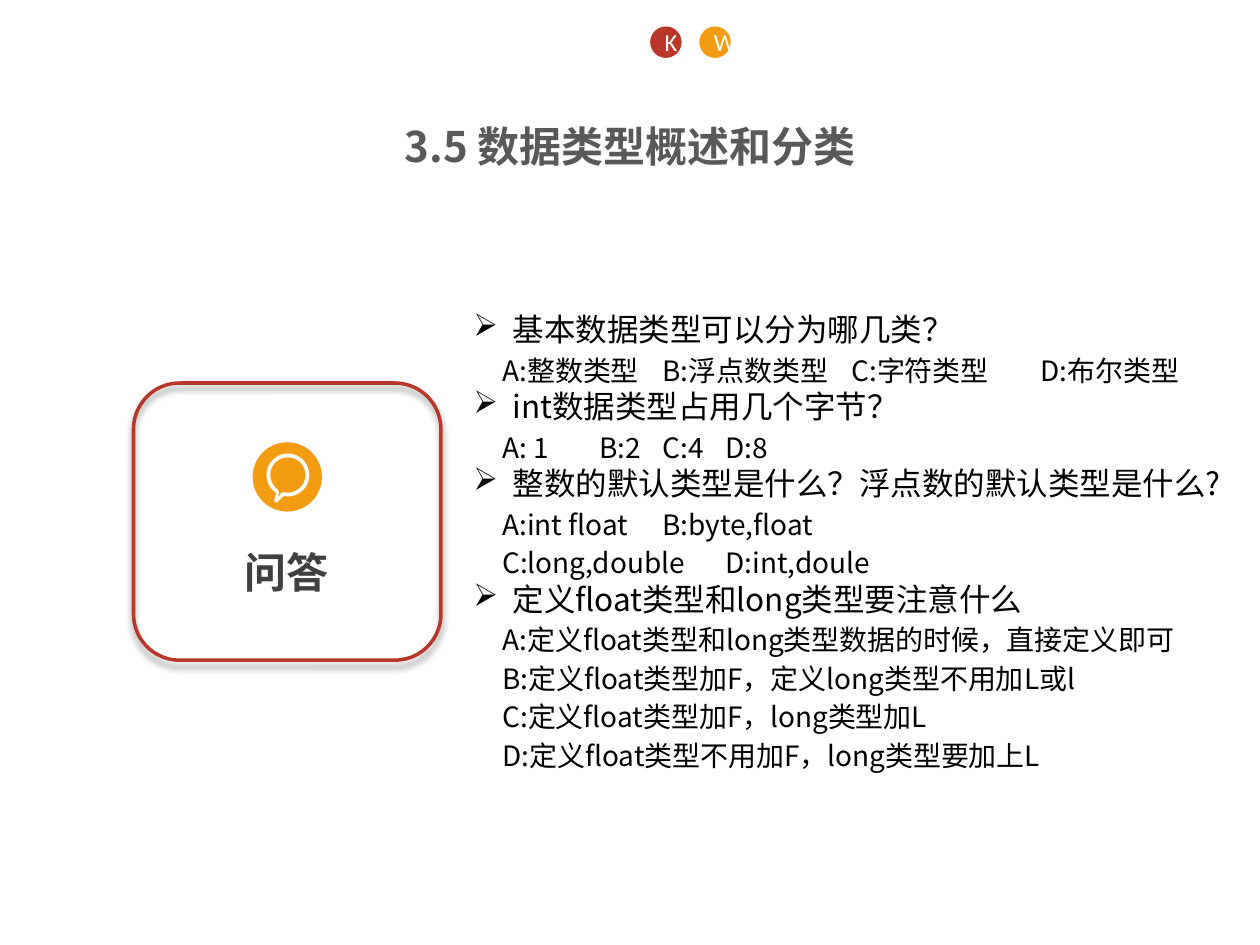
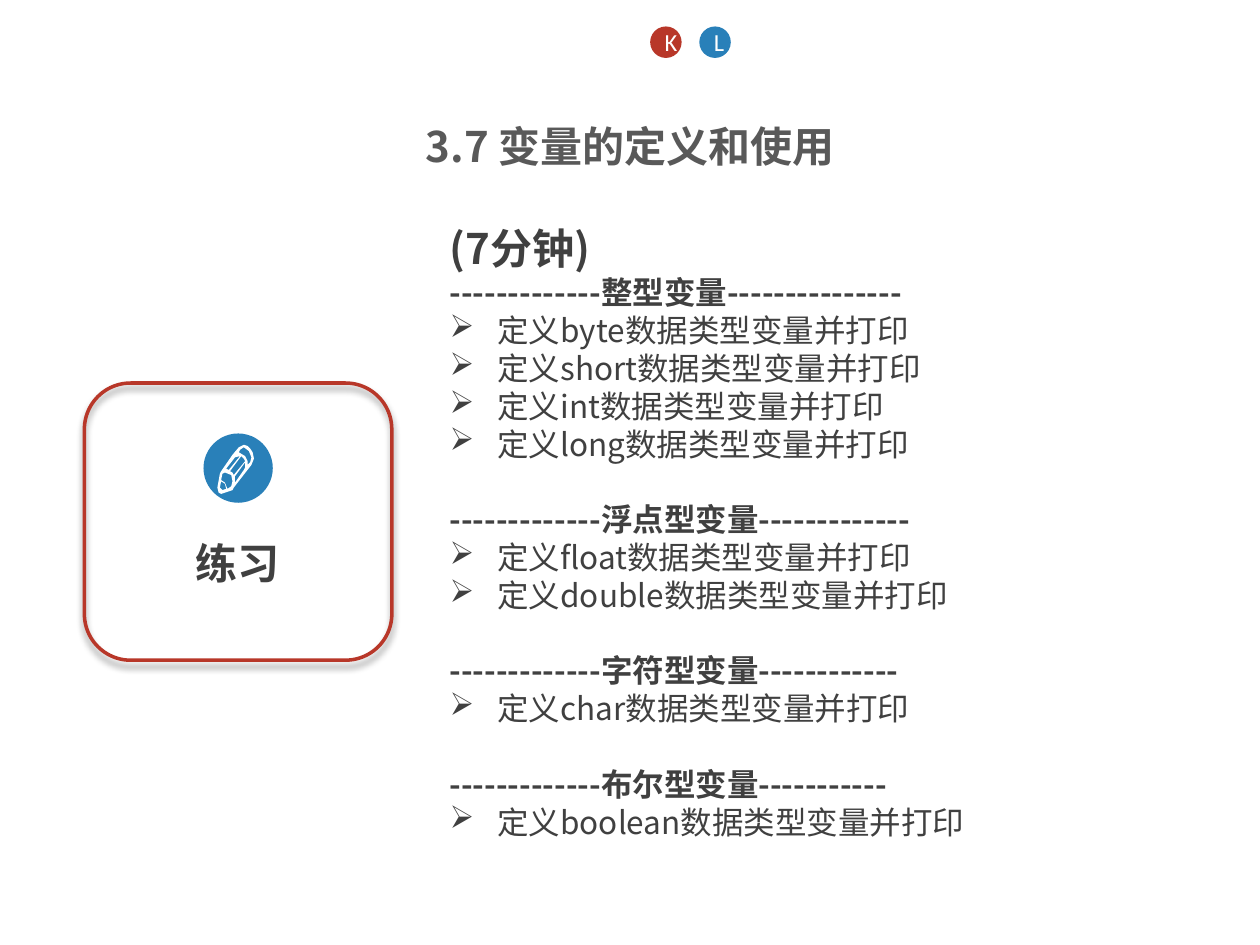
import math
from lxml import etree
from pptx import Presentation
from pptx.dml.color import RGBColor
from pptx.enum import shapes, text
from pptx.oxml import ns
from pptx.util import Inches, Pt

RED, ORANGE, BLUE = "B83729", "F39C12", "2980B9"
WHITE, BLACK, DARK, GREY = "FFFFFF", "000000", "404040", "595959"
CJK, LATIN = "Noto Sans CJK SC", "Calibri"
CARD_W, CARD_H, DISC, DOT = 2.44, 2.2, 0.55, 0.25


def rgb(value):
    """Turn a hex string into a colour."""
    return RGBColor.from_string(value)


def child(parent, tag, **attrs):
    """Append a drawing element to parent."""
    return etree.SubElement(parent, ns.qn(tag), {k: str(v) for k, v in attrs.items()})


def style(p, size, color, bold=False, font=CJK):
    """Format every run of a paragraph."""
    for r in p.runs:
        r.font.size, r.font.bold, r.font.name = Pt(size), bold, font
        r.font.color.rgb = rgb(color)
        child(r._r.get_or_add_rPr(), "a:ea", typeface=font)


def indent(p, left, first):
    """Set the left margin and first-line indent in inches."""
    pPr = p._p.get_or_add_pPr()
    pPr.set("marL", str(Inches(left)))
    pPr.set("indent", str(Inches(first)))
    return pPr


def bullet(p, hang):
    """Give a paragraph an arrow bullet with a hanging indent."""
    child(indent(p, hang, -hang), "a:buChar", char="➢")


def tab_stops(p, first, stops):
    """Indent the first line and set left tab stops."""
    tabs = child(indent(p, 0, first), "a:tabLst")
    for stop in stops:
        child(tabs, "a:tab", pos=Inches(stop), algn="l")


def text_box(parent, x, y, w, h):
    """Add a text box and return its frame."""
    tf = parent.shapes.add_textbox(Inches(x), Inches(y), Inches(w), Inches(h)).text_frame
    tf.word_wrap = True
    return tf


def add_lines(tf, lines):
    """Yield a paragraph for each line, with the line's other fields."""
    for i, (line, *rest) in enumerate(lines):
        p = tf.add_paragraph() if i else tf.paragraphs[0]
        p.text = line
        yield p, rest


def disc(parent, x, y, size, color):
    """Add a filled circle without outline."""
    sp = parent.shapes.add_shape(shapes.MSO_SHAPE.OVAL, Inches(x), Inches(y),
                                 Inches(size), Inches(size))
    sp.shadow.inherit = False
    sp.fill.solid()
    sp.fill.fore_color.rgb = rgb(color)
    sp.line.fill.background()
    return sp


def letter_dot(s, x, letter, color):
    """Add a lettered dot at the top of the slide."""
    tf = disc(s, x, 0.21, DOT, color).text_frame
    tf.text = letter
    tf.word_wrap = True
    tf.vertical_anchor = text.MSO_ANCHOR.MIDDLE
    tf.paragraphs[0].alignment = text.PP_ALIGN.CENTER
    style(tf.paragraphs[0], 14, WHITE, font=LATIN)


def arc(radius, start, end):
    """Points along a circle about the bubble's centre, in degrees."""
    steps = 36
    angles = [math.radians(start + (end - start) * i / steps) for i in range(steps + 1)]
    return [(0.28 + radius * math.cos(a), 0.26 + radius * math.sin(a)) for a in angles]


# Icon contours in inches from the disc's corner: the outline, then its holes.
BUBBLE = [
    arc(0.17, 123, 461) + [(0.19, 0.48), (0.17, 0.47)],
    arc(0.14, 126, 462) + [(0.23, 0.4), (0.2, 0.44), (0.21, 0.4)],
]
PENCIL = [
    [(0.37, 0.12), (0.35, 0.1), (0.32, 0.09), (0.28, 0.11), (0.23, 0.17), (0.14, 0.3),
     (0.13, 0.32), (0.11, 0.43), (0.12, 0.47), (0.14, 0.48), (0.23, 0.45), (0.24, 0.43),
     (0.38, 0.25), (0.4, 0.2), (0.39, 0.15)],
    [(0.37, 0.23), (0.35, 0.25), (0.35, 0.22), (0.33, 0.18), (0.28, 0.15), (0.29, 0.13),
     (0.32, 0.11), (0.36, 0.14), (0.38, 0.19)],
    [(0.19, 0.44), (0.17, 0.39), (0.14, 0.37), (0.15, 0.32), (0.17, 0.31), (0.22, 0.33),
     (0.23, 0.38), (0.22, 0.42)],
    [(0.15, 0.45), (0.13, 0.43), (0.14, 0.38), (0.17, 0.4), (0.18, 0.44)],
    [(0.2, 0.29), (0.18, 0.28), (0.25, 0.19), (0.29, 0.18)],
    [(0.24, 0.33), (0.23, 0.31), (0.21, 0.3), (0.3, 0.18), (0.32, 0.2), (0.33, 0.22)],
    [(0.25, 0.39), (0.25, 0.34), (0.33, 0.23), (0.33, 0.27), (0.32, 0.29)],
]


def icon(parent, x, y, contours):
    """Draw white contours as one freeform at x, y."""
    paths = [[(Inches(a), Inches(b)) for a, b in contour] for contour in contours]
    builder = parent.shapes.build_freeform(*paths[0][0])
    builder.add_line_segments(paths[0][1:])
    for start, *others in paths[1:]:
        builder.move_to(*start)
        builder.add_line_segments(others)
    sp = builder.convert_to_shape(Inches(x), Inches(y))
    sp.shadow.inherit = False
    sp.fill.solid()
    sp.fill.fore_color.rgb = rgb(WHITE)
    sp.line.fill.background()


def card(s, x, y, label, color, contours, icon_top):
    """Add the red framed card with its icon and label."""
    grp = s.shapes.add_group_shape()
    frame = grp.shapes.add_shape(shapes.MSO_SHAPE.ROUNDED_RECTANGLE, Inches(x), Inches(y),
                                 Inches(CARD_W), Inches(CARD_H))
    frame.fill.background()
    frame.line.color.rgb = rgb(RED)
    frame.line.width = Pt(2)
    shadow = child(child(frame._element.spPr, "a:effectLst"), "a:outerShdw",
                   blurRad=Pt(4), dist=Pt(3), dir=90 * 60000, rotWithShape=0)
    child(child(shadow, "a:srgbClr", val=BLACK), "a:alpha", val=40000)

    left, top = x + (CARD_W - DISC) / 2, y + icon_top
    disc(grp, left, top, DISC, color)
    icon(grp, left, top, contours)
    tf = text_box(grp, left - 0.16, top + 0.8, 0.87, 0.45)
    tf.word_wrap = False
    tf.vertical_anchor = text.MSO_ANCHOR.MIDDLE
    tf.text = label
    style(tf.paragraphs[0], 24, DARK, True)


def new_slide(prs, title, letter, color):
    """Add a slide with its title and the two dots."""
    s = prs.slides.add_slide(prs.slide_layouts[5])
    sp = s.shapes.title
    sp.left, sp.top, sp.width, sp.height = Inches(0), Inches(0.92), Inches(10), Inches(0.47)
    sp.text_frame.text = title
    sp.text_frame.vertical_anchor = text.MSO_ANCHOR.MIDDLE
    p = sp.text_frame.paragraphs[0]
    p.alignment = text.PP_ALIGN.CENTER
    style(p, 24, GREY, True)
    letter_dot(s, 5.16, "K", RED)
    letter_dot(s, 5.55, letter, color)
    return s


def quiz(s, x, y, w, h, lines):
    """Write bulleted questions and, where tab stops are given, their options."""
    for p, (stops,) in add_lines(text_box(s, x, y, w, h), lines):
        question = stops is None
        style(p, 18 if question else 16, BLACK)
        p.line_spacing = Pt(22)
        if question:
            bullet(p, 0.31)
        else:
            tab_stops(p, 0.23, stops)


def exercises(s, x, y, w, h, heading, sections):
    """Write a heading, then dashed section titles with bulleted tasks."""
    lines = [(heading, "heading")]
    for name, dashes, types in sections:
        lines.append(("-" * 13 + name + "-" * dashes, "section"))
        lines += [(f"定义{t}数据类型变量并打印", "task") for t in types]
    for i, (p, (kind,)) in enumerate(add_lines(text_box(s, x, y, w, h), lines)):
        style(p, 24 if kind == "heading" else 18, DARK, kind != "task")
        p.line_spacing = Pt(28.8 if kind == "heading" else 21.6)
        if kind == "section" and i > 1:
            p.space_before = Pt(21.6)
        if kind == "task":
            bullet(p, 0.38)


QUESTIONS = [
    ("基本数据类型可以分为哪几类？", None),
    ("A:整数类型\tB:浮点数类型\tC:字符类型\tD:布尔类型", [1.52, 2.98, 4.23]),
    ("int数据类型占用几个字节？", None),
    ("A: 1\tB:2\tC:4\tD:8", [0.82, 1.34, 1.87]),
    ("整数的默认类型是什么？浮点数的默认类型是什么?", None),
    ("A:int float\tB:byte,float", [1.79]),
    ("C:long,double\tD:int,doule", [1.9]),
    ("定义float类型和long类型要注意什么", None),
    ("A:定义float类型和long类型数据的时候，直接定义即可", []),
    ("B:定义float类型加F，定义long类型不用加L或l", []),
    ("C:定义float类型加F，long类型加L", []),
    ("D:定义float类型不用加F，long类型要加上L", []),
]
SECTIONS = [
    ("整型变量", 15, ["byte", "short", "int", "long"]),
    ("浮点型变量", 13, ["float", "double"]),
    ("字符型变量", 12, ["char"]),
    ("布尔型变量", 11, ["boolean"]),
]

prs = Presentation()
prs.slide_width, prs.slide_height = Inches(10), Inches(7.5)

s = new_slide(prs, "3.5 数据类型概述和分类", "W", ORANGE)
quiz(s, 3.66, 2.41, 6.34, 3.93, QUESTIONS)
card(s, 1.06, 3.04, "问答", ORANGE, BUBBLE, 0.47)

s = new_slide(prs, "3.7 变量的定义和使用", "L", BLUE)
exercises(s, 3.47, 1.72, 6.53, 5.05, "(7分钟)", SECTIONS)
card(s, 0.67, 3.04, "练习", BLUE, PENCIL, 0.4)

prs.save("out.pptx")
